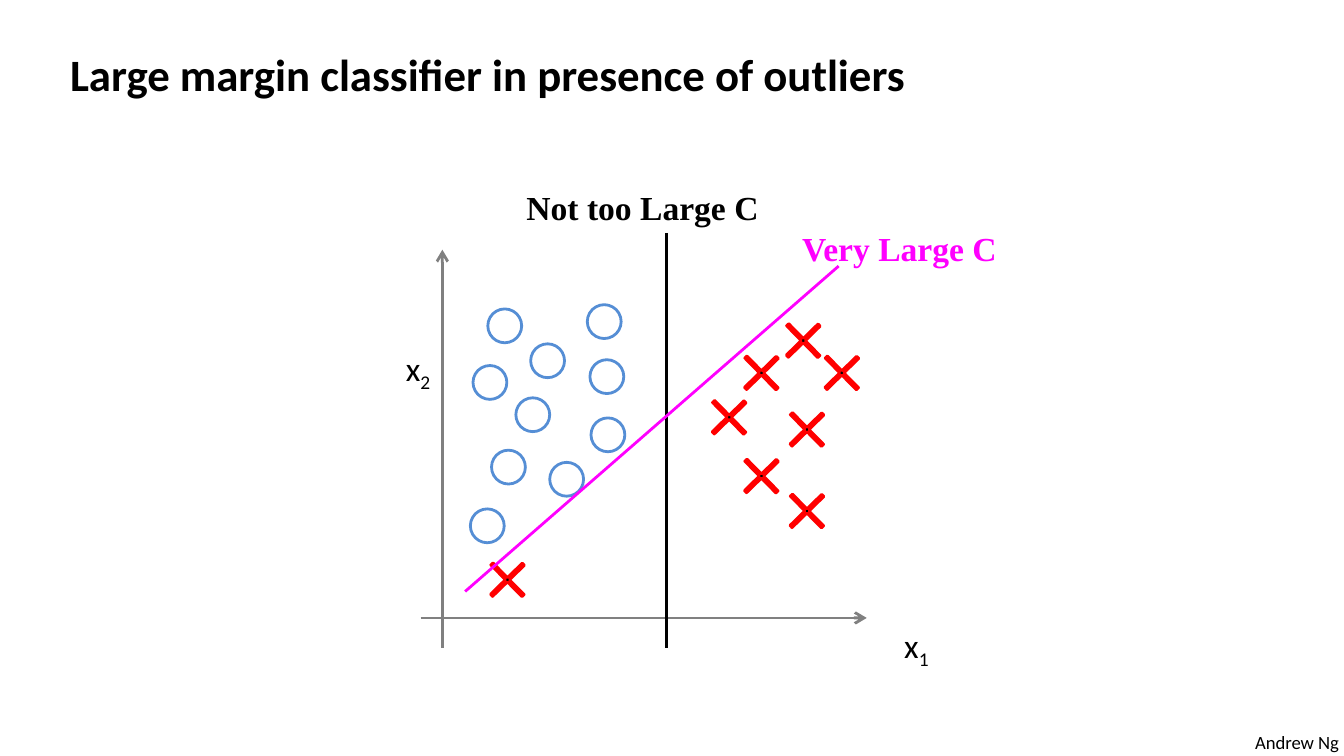
from lxml.etree import SubElement
from pptx import Presentation
from pptx.dml.color import RGBColor
from pptx.enum.shapes import MSO_CONNECTOR, MSO_SHAPE
from pptx.enum.text import MSO_ANCHOR, PP_ALIGN
from pptx.oxml.ns import qn
from pptx.util import Cm, Pt

COLORS = {
    "text": "000000",
    "axis": "808080",
    "circle": "558ED5",
    "cross": "FF0000",
    "large_c": "FF00FF",
}
LINE_WIDTH = Pt(1.5)
CIRCLE_SIZE, CROSS_SIZE = 0.64, 0.84

# Centres of the samples, in cm from the corner of the plot
CIRCLES = [(1.81, 6.54), (2.95, 3.42), (2.14, 2.76), (3.31, 5.66), (4.09, 4.82),
           (2.21, 5.43), (1.86, 3.83), (2.67, 4.44), (4.07, 3.72), (4.02, 2.68)]
CROSSES = [(7.78, 3.04), (6.99, 3.65), (7.85, 4.72), (6.38, 4.49),
           (7.85, 6.26), (8.51, 3.65), (6.99, 5.6), (2.19, 7.56)]


def rgb(name):
    return RGBColor.from_string(COLORS[name])


def write(frame, text, size=18, font="Calibri", color="text", bold=False,
          subscript="", wrap=True, anchor=MSO_ANCHOR.TOP):
    frame.word_wrap = wrap
    frame.vertical_anchor = anchor
    paragraph = frame.paragraphs[0]
    paragraph.alignment = PP_ALIGN.LEFT
    for part in filter(None, (text, subscript)):
        run = paragraph.add_run()
        run.text = part
        run.font.size = Pt(size)
        run.font.name = font
        run.font.bold = bold
        run.font.color.rgb = rgb(color)
    if subscript:
        run.font._element.set("baseline", "-25000")


def add_label(slide, box, text, **style):
    label = slide.shapes.add_textbox(*map(Cm, box))
    write(label.text_frame, text, **style)


def add_line(slide, start, end, color, arrow=False):
    line = slide.shapes.add_connector(MSO_CONNECTOR.STRAIGHT, *map(Cm, start + end))
    line.line.color.rgb = rgb(color)
    line.line.width = LINE_WIDTH
    if arrow:
        SubElement(line.line._get_or_add_ln(), qn("a:tailEnd"), type="arrow")
    SubElement(line._element.spPr, qn("a:effectLst"))


def add_marker(slide, kind, center, size, color):
    x, y = center
    marker = slide.shapes.add_shape(
        kind, Cm(x - size / 2), Cm(y - size / 2), Cm(size), Cm(size))
    marker.shadow.inherit = False
    marker.line.color.rgb = rgb(color)
    marker.line.width = LINE_WIDTH
    return marker


def add_title(slide, box):
    title = slide.shapes.title
    title.left, title.top, title.width, title.height = map(Cm, box)
    write(title.text_frame, "Large margin classifier in presence of outliers",
          size=24, bold=True, anchor=MSO_ANCHOR.MIDDLE)


def add_plot(slide, box):
    left, top, width, height = box
    right, bottom = left + width, top + height

    def at(x, y):
        return left + x, top + y

    # Samples of the two classes
    for center in CIRCLES:
        circle = add_marker(slide, MSO_SHAPE.OVAL, at(*center), CIRCLE_SIZE, "circle")
        circle.fill.background()
    for center in CROSSES:
        cross = add_marker(slide, MSO_SHAPE.CROSS, at(*center), CROSS_SIZE, "cross")
        cross.adjustments[0] = 0.466
        cross.rotation = 45.6
        cross.fill.solid()
        cross.fill.fore_color.rgb = rgb("text")

    # Axes and their names
    add_line(slide, at(0.96, 8.84), at(0.96, 1.32), "axis", arrow=True)
    add_line(slide, at(0.55, 8.28), at(8.98, 8.28), "axis", arrow=True)
    name_width, name_height = 1.37, 1.4
    add_label(slide, (right - name_width, bottom - name_height, name_width, name_height),
              "x", subscript="1")
    add_label(slide, (*at(0.02, 3.05), name_width, name_height), "x", subscript="2")

    # Decision boundaries
    add_line(slide, at(5.2, 1), at(5.2, 8.84), "text")
    add_line(slide, at(8.45, 1.63), at(1.39, 7.78), "large_c")
    serif = {"font": "Times New Roman", "bold": True}
    add_label(slide, (*at(7.51, 0.79), 4.39, 1.02), "Very Large C",
              color="large_c", **serif)
    add_label(slide, (*at(2.3, 0), 5.11, 1.02), "Not too Large C", **serif)


def add_credit(slide, box):
    add_label(slide, box, "Andrew Ng", size=10, wrap=False)


def main():
    deck = Presentation()
    deck.slide_width, deck.slide_height = Cm(25.4), Cm(14.29)
    slide = deck.slides.add_slide(deck.slide_layouts[5])
    add_credit(slide, (23.47, 13.69, 2.13, 0.69))
    add_title(slide, (1.07, 0.76, 23.06, 1.27))
    add_plot(slide, (7.4, 3.4, 10.81, 9.68))
    deck.save("out.pptx")


if __name__ == "__main__":
    main()
